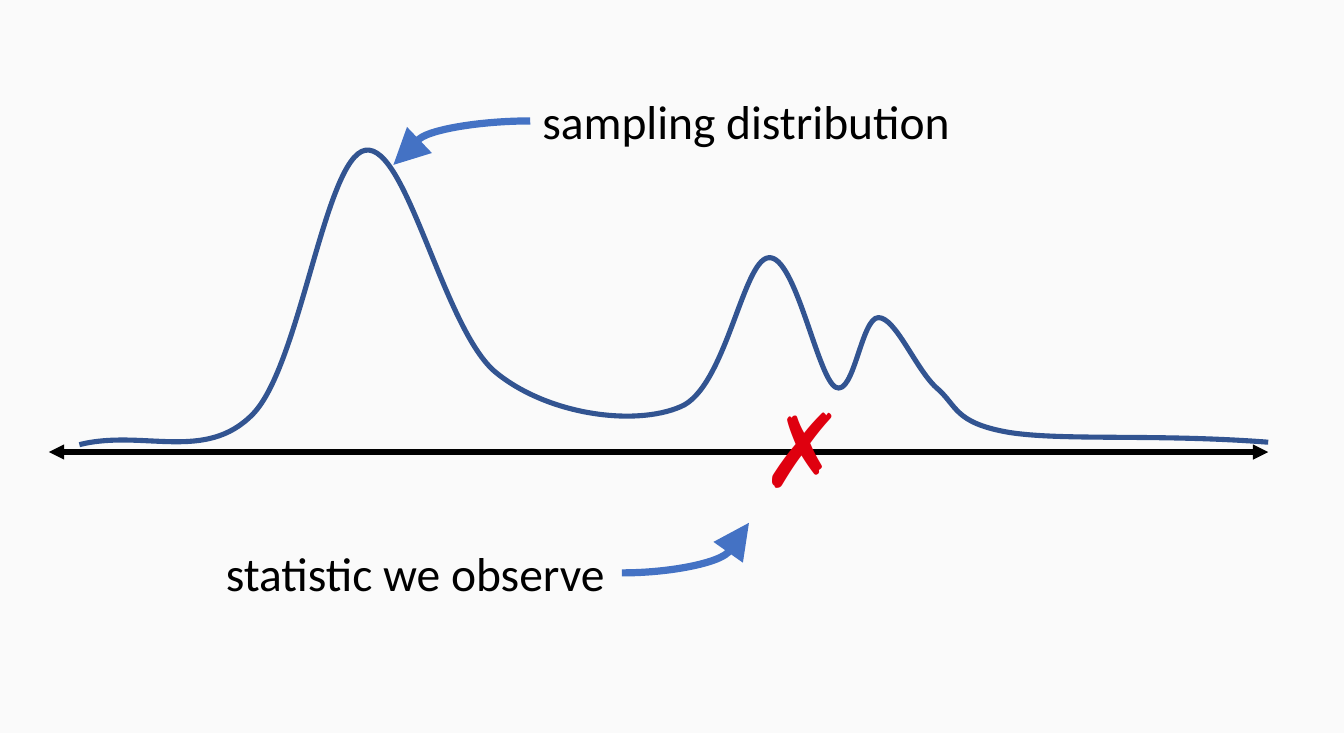
from dataclasses import dataclass
from typing import Optional

from lxml import etree
from pptx import Presentation
from pptx import util as u
from pptx.dml.color import RGBColor
from pptx.enum import shapes, text
from pptx.oxml.ns import qn

BLACK, BLUE, NAVY, RED, PAPER = "000000", "4472C4", "325491", "DF000F", "FAFAFA"

Point = tuple[float, float]


@dataclass
class Label:
    words: str
    left: float
    top: float
    width: float
    height: float
    font: str = "Calibri"
    size: int = 28
    color: str = BLACK
    wrap: bool = True


@dataclass
class Arrow:
    start: Point
    end: Point
    color: str = BLUE
    weight: float = 4.25
    head_size: str = "lg"
    both_ends: bool = False
    bend: Optional[float] = None  # share of the width where a curve turns


AXIS = Arrow((0.4, 3.7), (10.38, 3.7), BLACK, 3, "med", both_ends=True)
STATISTIC_ARROW = Arrow((5.09, 4.69), (6.13, 4.28), bend=0.854)
SAMPLING_ARROW = Arrow((4.34, 0.99), (3.22, 1.35), bend=0.828)

OBSERVED_MARK = Label("\u2717", 6.13, 3.11, 1.11, 1.11, "Lato", 60, RED)
STATISTIC_LABEL = Label("statistic we observe", 1.75, 4.4, 3.34, 0.57, wrap=False)
SAMPLING_LABEL = Label("sampling distribution", 4.34, 0.7, 3.58, 0.57)

# Density curve: a start, then two controls and an end for each segment
DENSITY_START: Point = (0.65, 3.64)
DENSITY_SEGMENTS: list[tuple[Point, Point, Point]] = [
    ((1.17, 3.51), (1.68, 3.79), (2.07, 3.39)),
    ((2.46, 2.99), (2.66, 1.29), (2.99, 1.23)),
    ((3.33, 1.17), (3.63, 2.7), (4.06, 3.05)),
    ((4.49, 3.4), (5.2, 3.49), (5.57, 3.33)),
    ((5.94, 3.18), (6.08, 2.13), (6.29, 2.11)),
    ((6.51, 2.08), (6.69, 3.09), (6.84, 3.17)),
    ((6.99, 3.25), (7.05, 2.6), (7.19, 2.6)),
    ((7.33, 2.6), (7.49, 3.01), (7.66, 3.17)),
    ((7.84, 3.32), (7.8, 3.46), (8.26, 3.54)),
    ((8.71, 3.61), (9.46, 3.55), (10.38, 3.62)),
]


def rgb(value: str) -> RGBColor:
    return RGBColor.from_string(value)


def apply(target, values: dict) -> None:
    for name, value in values.items():
        setattr(target, name, value)


def style_line(shape, color: str, weight: float) -> None:
    shape.line.color.rgb = rgb(color)
    shape.line.width = u.Pt(weight)


def to_emu(point: Point) -> tuple[int, int]:
    return u.Inches(point[0]), u.Inches(point[1])


def draw_density(slide) -> None:
    builder = slide.shapes.build_freeform(*to_emu(DENSITY_START))
    builder.add_line_segments([to_emu(s[-1]) for s in DENSITY_SEGMENTS], close=False)
    shape = builder.convert_to_shape()
    shape.shadow.inherit = False
    shape.fill.background()
    style_line(shape, NAVY, 3)
    # Turn each straight piece into a cubic one
    pieces = list(shape._element.spPr.iter(qn("a:lnTo")))
    for piece, segment in zip(pieces, DENSITY_SEGMENTS):
        cubic = etree.Element(qn("a:cubicBezTo"))
        for x, y in map(to_emu, segment):
            etree.SubElement(cubic, qn("a:pt"), x=str(x - shape.left), y=str(y - shape.top))
        piece.getparent().replace(piece, cubic)


def draw_arrow(slide, arrow: Arrow) -> None:
    kinds = shapes.MSO_CONNECTOR
    kind = kinds.STRAIGHT if arrow.bend is None else kinds.CURVE
    connector = slide.shapes.add_connector(kind, *to_emu(arrow.start), *to_emu(arrow.end))
    style_line(connector, arrow.color, arrow.weight)
    properties = connector._element.spPr
    line = properties.find(qn("a:ln"))
    head = {"type": "triangle", "w": arrow.head_size, "len": arrow.head_size}
    for tag in ("a:headEnd", "a:tailEnd") if arrow.both_ends else ("a:tailEnd",):
        etree.SubElement(line, qn(tag), head)
    etree.SubElement(properties, qn("a:effectLst"))
    if arrow.bend is not None:
        guides = properties.find(qn("a:prstGeom")).find(qn("a:avLst"))
        formula = f"val {round(arrow.bend * 100000)}"
        etree.SubElement(guides, qn("a:gd"), name="adj1", fmla=formula)


def draw_label(slide, label: Label) -> None:
    box = (label.left, label.top, label.width, label.height)
    shape = slide.shapes.add_textbox(*(u.Inches(value) for value in box))
    apply(shape.text_frame, {
        "word_wrap": label.wrap,
        "auto_size": text.MSO_AUTO_SIZE.SHAPE_TO_FIT_TEXT,
    })
    run = shape.text_frame.paragraphs[0].add_run()
    run.text = label.words
    apply(run.font, {"name": label.font, "size": u.Pt(label.size)})
    run.font.color.rgb = rgb(label.color)


presentation = Presentation()
apply(presentation, {"slide_width": u.Inches(11), "slide_height": u.Inches(6)})
slide = presentation.slides.add_slide(presentation.slide_layouts[6])
slide.background.fill.solid()
slide.background.fill.fore_color.rgb = rgb(PAPER)

# Axis and density
draw_arrow(slide, AXIS)
draw_density(slide)

# Observed statistic
draw_label(slide, OBSERVED_MARK)
draw_label(slide, STATISTIC_LABEL)
draw_arrow(slide, STATISTIC_ARROW)

# Sampling distribution
draw_label(slide, SAMPLING_LABEL)
draw_arrow(slide, SAMPLING_ARROW)

presentation.save("out.pptx")
